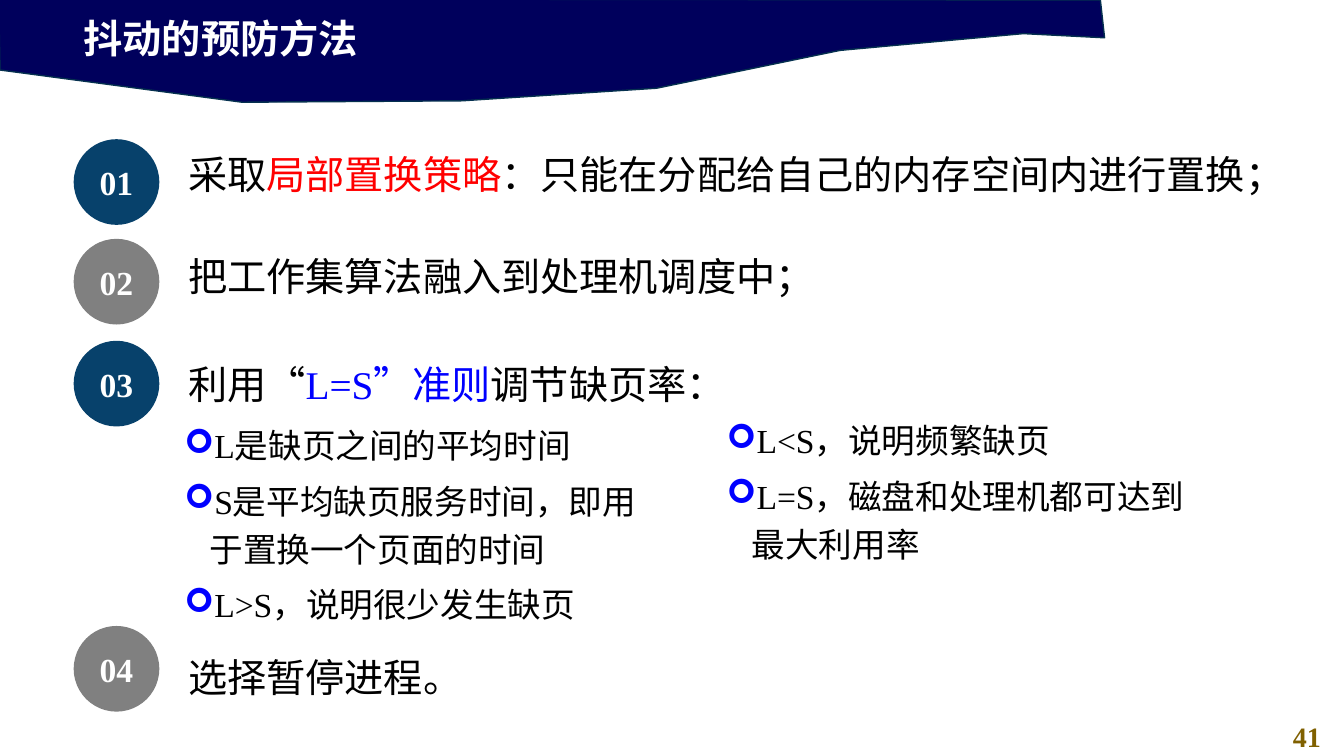
import pptx
import pptx.util
import pptx.dml.color
import pptx.enum.shapes
import pptx.enum.text
import pptx.oxml
import pptx.oxml.ns

Pt = pptx.util.Pt
ALIGN = pptx.enum.text.PP_ALIGN
ANCHOR = pptx.enum.text.MSO_ANCHOR

COLORS = {
    "banner": "00005C", "banner_line": "05304F", "white": "FFFFFF",
    "black": "000000", "red": "FF0000", "blue": "0000FF",
    "navy": "07416B", "gray": "808080", "gold": "806000",
}
FONT = "Times New Roman"
STYLES = {
    "title": {"name": FONT, "size": Pt(28), "bold": True},
    "badge": {"name": FONT, "size": Pt(24), "bold": True},
    "item": {"name": FONT, "size": Pt(28), "bold": False},
    "detail": {"name": FONT, "size": Pt(24), "bold": False},
    "page": {"name": FONT, "size": Pt(20), "bold": True},
}

TITLE = "抖动的预防方法"
PAGE_NUMBER = "41"
BANNER_POINTS = [
    (-0.7, -0.7), (0, 50.4), (172.8, 73.4), (330.5, 72), (469.4, 63.4),
    (599.8, 36), (730.8, 23.8), (789.1, 27.4), (786.2, 0),
]
ITEMS = [
    {"badge_top": 99.4, "text_top": 107.3, "width": 780, "runs": [
        ("采取", "black"), ("局部置换策略", "red"),
        ("：只能在分配给自己的内存空间内进行置换；", "black")]},
    {"badge_top": 170.6, "text_top": 180.7, "width": 623.5, "runs": [
        ("把工作集算法融入到处理机调度中；", "black")]},
    {"badge_top": 243.4, "text_top": 257.8, "width": 623.5, "runs": [
        ("利用“", "black"), ("L=S”准则", "blue"), ("调节缺页率：", "black")]},
    {"badge_top": 447.1, "text_top": 466.6, "width": 207.4, "runs": [
        ("选择暂停进程。", "black")]},
]
DETAILS = [
    {"box": (88.6, 294.5, 373, 160.6), "lines": [
        "L是缺页之间的平均时间",
        "S是平均缺页服务时间，即用于置换一个页面的时间",
        "L>S，说明很少发生缺页"]},
    {"box": (475.9, 290.9, 395.3, 141.1), "lines": [
        "L<S，说明频繁缺页",
        "L=S，磁盘和处理机都可达到最大利用率"]},
]
BADGE_LEFT, BADGE_SIZE = 52.6, 61.2
ITEM_LEFT, ITEM_HEIGHT = 127.4, 28


def color(name):
    return pptx.dml.color.RGBColor.from_string(COLORS[name])


def add_runs(paragraph, runs, style):
    for text, color_name in runs:
        run = paragraph.add_run()
        run.text = text
        for attribute, value in STYLES[style].items():
            setattr(run.font, attribute, value)
        run.font.color.rgb = color(color_name)


def add_bullet(paragraph):
    properties = paragraph._p.get_or_add_pPr()
    properties.set("marL", str(Pt(54)))
    properties.set("indent", str(Pt(-18)))
    namespace = pptx.oxml.ns.nsdecls("a")
    for xml in (
        f'<a:buClr {namespace}><a:srgbClr val="{COLORS["blue"]}"/></a:buClr>',
        f'<a:buFont {namespace} typeface="Wingdings"/>',
        f'<a:buChar {namespace} char="➢"/>',
    ):
        properties.append(pptx.oxml.parse_xml(xml))


def add_text_box(slide, box):
    frame = slide.shapes.add_textbox(*map(Pt, box)).text_frame
    frame.word_wrap = True
    return frame


def add_banner(slide):
    builder = slide.shapes.build_freeform(*BANNER_POINTS[0], scale=Pt(1))
    builder.add_line_segments(BANNER_POINTS[1:], close=True)
    banner = builder.convert_to_shape()
    banner.shadow.inherit = False
    banner.fill.solid()
    banner.fill.fore_color.rgb = color("banner")
    banner.line.color.rgb = color("banner_line")
    banner.line.width = Pt(1)
    slide.shapes.title.element.addprevious(banner.element)


def add_title(slide):
    title = slide.shapes.title
    title.left, title.top, title.width, title.height = map(Pt, (52.6, 6.5, 553, 41))
    frame = title.text_frame
    settings = {"auto_size": pptx.enum.text.MSO_AUTO_SIZE.NONE,
                "vertical_anchor": ANCHOR.TOP, "word_wrap": True}
    for attribute, value in settings.items():
        setattr(frame, attribute, value)
    frame.paragraphs[0].alignment = ALIGN.LEFT
    add_runs(frame.paragraphs[0], [(TITLE, "white")], "title")


def add_badge(slide, number, top):
    badge = slide.shapes.add_shape(
        pptx.enum.shapes.MSO_SHAPE.OVAL,
        *map(Pt, (BADGE_LEFT, top, BADGE_SIZE, BADGE_SIZE)))
    badge.shadow.inherit = False
    badge.fill.solid()
    badge.fill.fore_color.rgb = color("navy" if number % 2 else "gray")
    badge.line.fill.background()
    badge.text_frame.vertical_anchor = ANCHOR.MIDDLE
    paragraph = badge.text_frame.paragraphs[0]
    paragraph.alignment = ALIGN.CENTER
    add_runs(paragraph, [(f"{number:02d}", "white")], "badge")


def add_item(slide, item):
    frame = add_text_box(
        slide, (ITEM_LEFT, item["text_top"], item["width"], ITEM_HEIGHT))
    frame.paragraphs[0].line_spacing = 0.9
    add_runs(frame.paragraphs[0], item["runs"], "item")


def add_details(slide, detail):
    frame = add_text_box(slide, detail["box"])
    for index, line in enumerate(detail["lines"]):
        paragraph = frame.add_paragraph() if index else frame.paragraphs[0]
        paragraph.level = 1
        paragraph.line_spacing = 1.2
        paragraph.space_before = Pt(5 if index else 0)
        add_bullet(paragraph)
        add_runs(paragraph, [(line, "black")], "detail")


def main():
    presentation = pptx.Presentation()
    presentation.slide_width, presentation.slide_height = Pt(960), Pt(540)
    slide = presentation.slides.add_slide(presentation.slide_layouts[5])
    add_banner(slide)
    add_title(slide)
    for number, item in enumerate(ITEMS, 1):
        add_badge(slide, number, item["badge_top"])
        add_item(slide, item)
    for detail in DETAILS:
        add_details(slide, detail)
    page = add_text_box(slide, (907.2, 510.5, 52.6, 31.7)).paragraphs[0]
    page.alignment = ALIGN.CENTER
    add_runs(page, [(PAGE_NUMBER, "gold")], "page")
    presentation.save("out.pptx")


if __name__ == "__main__":
    main()
